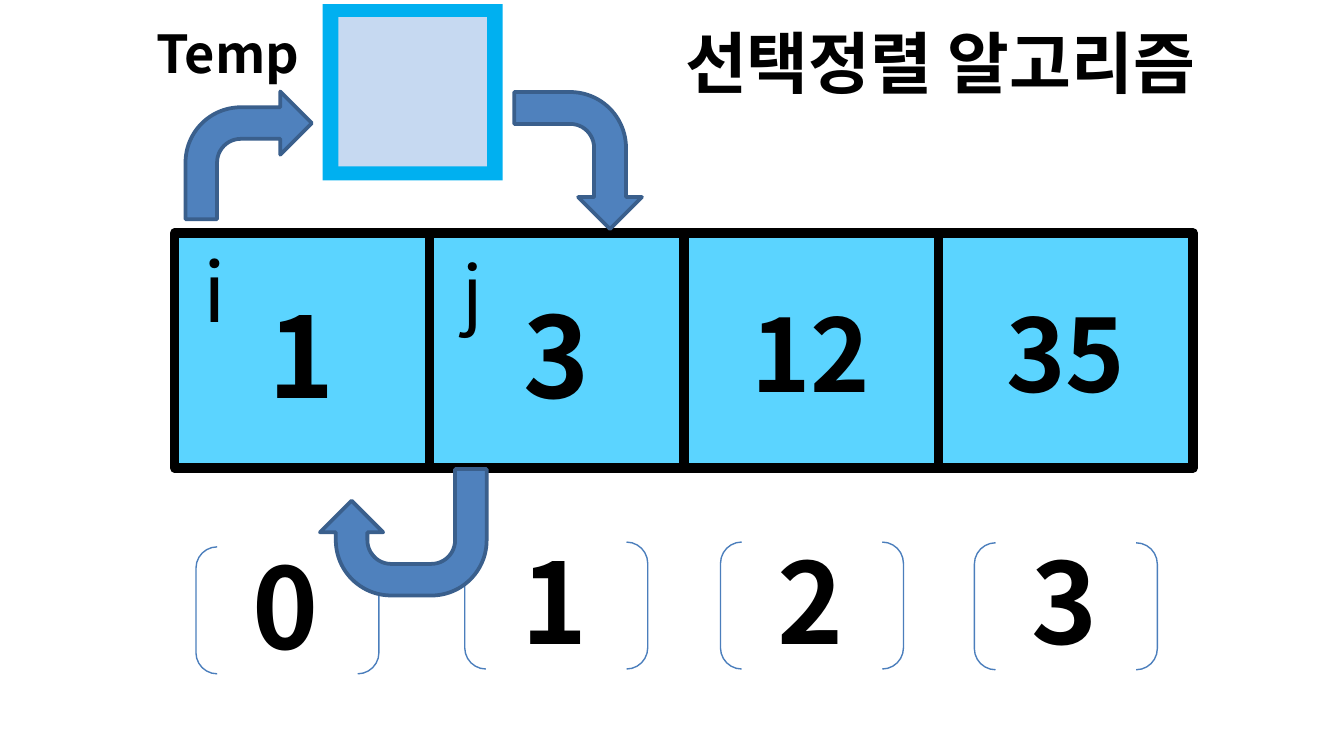
from pptx import Presentation
from pptx.dml.color import RGBColor
from pptx.enum.shapes import MSO_SHAPE
from pptx.enum.text import MSO_ANCHOR, MSO_AUTO_SIZE, PP_ALIGN
from pptx.oxml.ns import qn
from pptx.util import Pt
from lxml import etree

RECT, BRACKETS = MSO_SHAPE.RECTANGLE, MSO_SHAPE.DOUBLE_BRACKET
BENT, UTURN = MSO_SHAPE.BENT_ARROW, MSO_SHAPE.U_TURN_ARROW
CENTER, LEFT = PP_ALIGN.CENTER, PP_ALIGN.LEFT
TOP, GROW = MSO_ANCHOR.TOP, MSO_AUTO_SIZE.SHAPE_TO_FIT_TEXT

BLACK = RGBColor(0x00, 0x00, 0x00)
CELL_BLUE = RGBColor(0x5B, 0xD4, 0xFF)
FRAME_BLUE = RGBColor(0x00, 0xB0, 0xF0)
PALE_BLUE = RGBColor(0xC6, 0xD9, 0xF1)
ARROW_BLUE = RGBColor(0x4F, 0x81, 0xBD)
ARROW_EDGE = RGBColor(0x3A, 0x5F, 0x8C)
BRACKET_BLUE = RGBColor(0x4B, 0x7E, 0xBC)
FONT = "Noto Sans CJK KR"


def add_shape(kind, x, y, w, h, fill=None, line=None, weight=1, rotation=0):
    sp = slide.shapes.add_shape(kind, Pt(x), Pt(y), Pt(w), Pt(h))
    sp.shadow.inherit = False
    sp.rotation = rotation
    if fill is None:
        sp.fill.background()
    else:
        sp.fill.solid()
        sp.fill.fore_color.rgb = fill
    if line is None:
        sp.line.fill.background()
    else:
        sp.line.color.rgb = line
        sp.line.width = Pt(weight)
    return sp


def add_text(text, x, y, w, h, size=60, bold=True, align=CENTER, fill=None):
    sp = slide.shapes.add_textbox(Pt(x), Pt(y), Pt(w), Pt(h))
    if fill is not None:
        sp.fill.solid()
        sp.fill.fore_color.rgb = fill
    tf = sp.text_frame
    tf.word_wrap = True
    tf.auto_size = GROW
    tf.vertical_anchor = TOP
    p = tf.paragraphs[0]
    p.alignment = align
    r = p.add_run()
    r.text = text
    r.font.size, r.font.bold, r.font.name = Pt(size), bold, FONT
    r.font.color.rgb = BLACK
    ea = etree.SubElement(r.font._element, qn("a:ea"))
    ea.set("typeface", FONT)


def add_temp(x, y):
    """Temp square with its inner panel and label."""
    add_shape(RECT, x, y, 96.5, 94.5, FRAME_BLUE)
    add_shape(RECT, x + 8.5, y + 7, 79.5, 80, PALE_BLUE)
    add_text("Temp", x - 107.3, y + 5.7, 113, 41, size=28)


def add_array(x, y, values, pitch=136.4):
    """Row of array cells, then the values on top."""
    for i in range(len(values)):
        add_shape(RECT, x + i * pitch, y, pitch, 126, CELL_BLUE, BLACK, 5)
    for i, value in enumerate(values):
        size, dy, h = (60, 25, 80) if len(value) == 1 else (54, 28, 70)
        add_text(value, x + 28.5 + i * pitch, y + dy, 79, h, size, fill=CELL_BLUE)


def add_index(x, y, text):
    """Index number between brackets."""
    add_text(text, x + 8.6, y - 8.8, 79, 80)
    add_shape(BRACKETS, x, y, 98, 68, line=BRACKET_BLUE, weight=0.75)


def add_arrows(arrows):
    for kind, x, y, w, h, rotation in arrows:
        add_shape(kind, x, y, w, h, ARROW_BLUE, ARROW_EDGE, 2, rotation)


prs = Presentation()
prs.slide_width, prs.slide_height = Pt(720), Pt(405)
slide = prs.slides.add_slide(prs.slide_layouts[6])

# Array and its indexes
add_array(93.6, 124.8, ["1", "3", "12", "35"])
for i, (x, y) in enumerate([(105, 293), (249, 290.4), (386, 290.4), (522, 290.8)]):
    add_index(x, y, str(i))

# Temp square and swap arrows
add_temp(172.8, 2.2)
add_arrows([
    (BENT, 99.4, 49, 67.7, 68.4, 0),
    (BENT, 273, 51.8, 73.4, 68.4, 90),
    (UTURN, 171.4, 251.3, 89.3, 67.7, 180),
])

# Pointers and title
add_text("i", 97.2, 125.3, 36, 60.5, size=44, bold=False)
add_text("j", 234, 128.2, 39, 55.4, size=40, bold=False)
add_text("선택정렬 알고리즘", 360, 7.9, 329, 51, size=36, align=LEFT)

prs.save("out.pptx")
